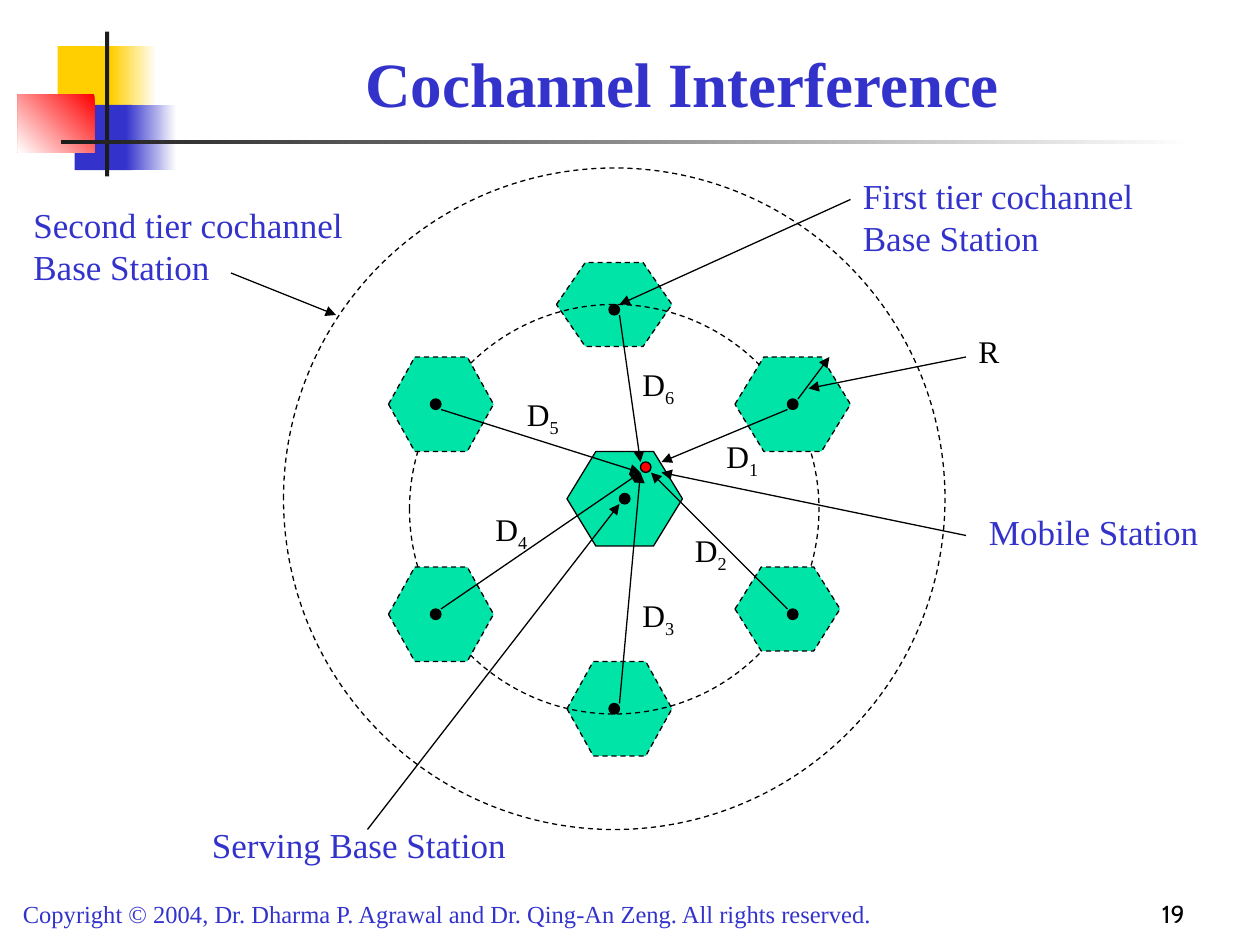
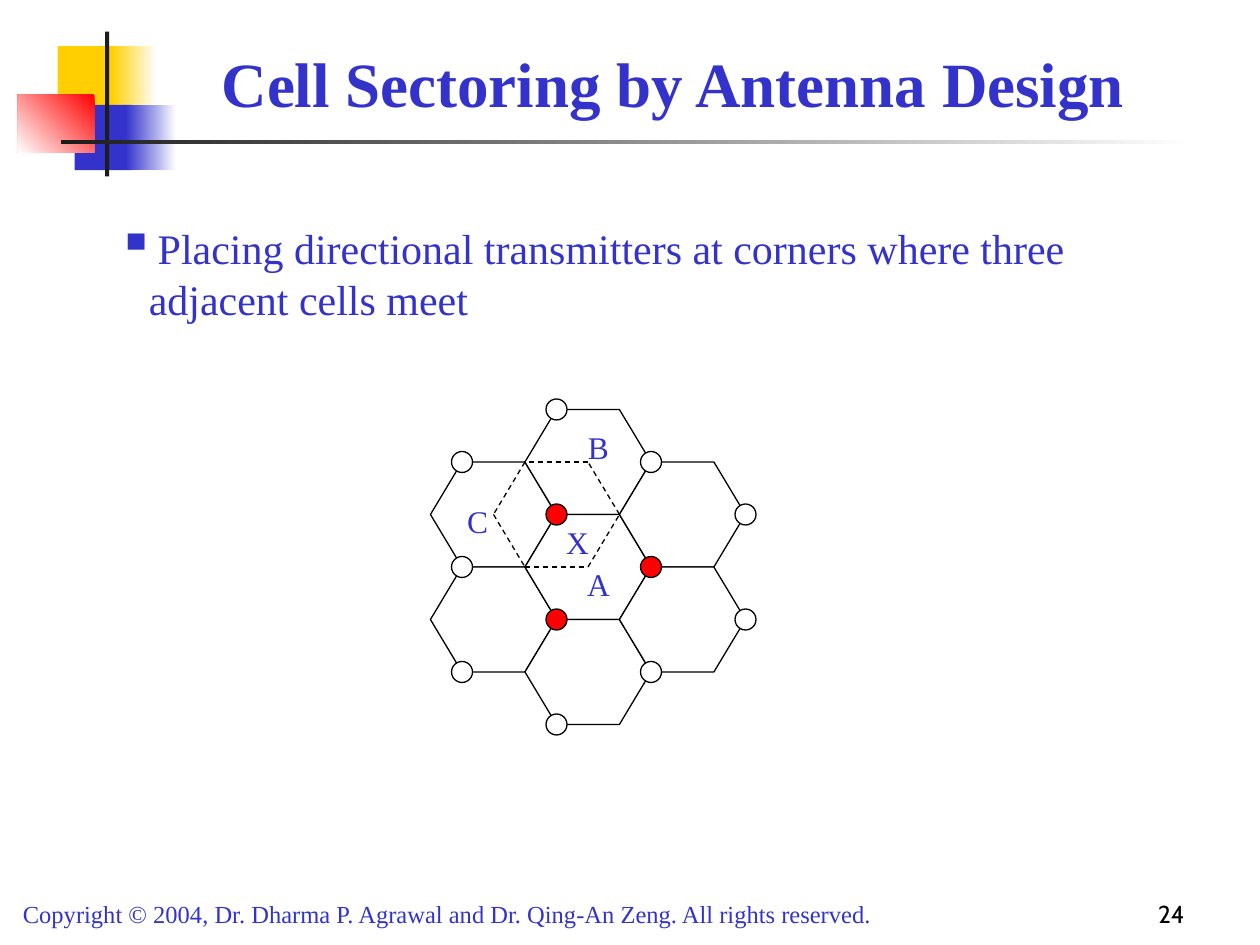
from dataclasses import dataclass
from itertools import pairwise
from lxml.etree import SubElement
from pptx import Presentation
from pptx.dml.color import RGBColor
from pptx.enum.dml import MSO_LINE
from pptx.enum.shapes import MSO_CONNECTOR, MSO_SHAPE
from pptx.enum.text import MSO_ANCHOR, MSO_AUTO_SIZE, PP_ALIGN
from pptx.oxml.ns import qn
from pptx.slide import Slide
from pptx.util import Inches, Pt

BLUE = RGBColor(0x33, 0x33, 0xCC)
YELLOW = RGBColor(0xFF, 0xCF, 0x01)
RED = RGBColor(0xFF, 0x00, 0x00)
GREEN = RGBColor(0x00, 0xE4, 0xA8)
CHARCOAL = RGBColor(0x1C, 0x1C, 0x1C)
BLACK = RGBColor(0x00, 0x00, 0x00)
WHITE = RGBColor(0xFF, 0xFF, 0xFF)
SERIF = "Times New Roman"
NUMBER_FONT = "Cabin"
COLUMNS, ROWS = 120, 90
CELL = Inches(10) / COLUMNS
COPYRIGHT = "Copyright © 2004, Dr. Dharma P. Agrawal and Dr. Qing-An Zeng. All rights reserved."


@dataclass
class Box:
    slide: Slide
    left: float = 0
    top: float = 0

    def point(self, column, row):
        return round((self.left + column) * CELL), round((self.top + row) * CELL)

    def frame(self, column, row, width, height):
        return *self.point(column, row), round(width * CELL), round(height * CELL)


def outline(line, dashed):
    line.color.rgb = BLACK
    line.width = Pt(0.75)
    if dashed:
        line.dash_style = MSO_LINE.DASH


def add_figure(box, kind, place, fill=None, outlined=True, dashed=False):
    figure = box.slide.shapes.add_shape(kind, *box.frame(*place))
    figure.shadow.inherit = False
    if fill is None:
        figure.fill.background()
    else:
        figure.fill.solid()
        figure.fill.fore_color.rgb = fill
    if outlined:
        outline(figure.line, dashed)
    else:
        figure.line.fill.background()
    return figure


def add_fade(box, place, start, angle=0):
    fade = add_figure(box, MSO_SHAPE.RECTANGLE, place, outlined=False)
    fade.fill.gradient()
    fade.fill.gradient_angle = angle
    for stop, color in zip(fade.fill.gradient_stops, (start, WHITE)):
        stop.color.rgb = color


def add_hexagon(box, place, fill, dashed=False):
    hexagon = add_figure(box, MSO_SHAPE.HEXAGON, place, fill, dashed=dashed)
    width, height = place[2:]
    hexagon.adjustments[0] = width / 4 / height


def add_dot(box, column, row, size, fill):
    add_figure(box, MSO_SHAPE.OVAL, (column, row, size, size), fill)


def add_line(box, start, end, arrow=False, dashed=False):
    line = box.slide.shapes.add_connector(
        MSO_CONNECTOR.STRAIGHT, *box.point(*start), *box.point(*end))
    outline(line.line, dashed)
    if arrow:
        SubElement(line.line._get_or_add_ln(), qn("a:tailEnd"), type="triangle")
    SubElement(line._element.spPr, qn("a:effectLst"))


def add_run(paragraph, text, size, color=BLUE, font=SERIF, bold=False):
    run = paragraph.add_run()
    run.text = text
    run.font.size = Pt(size)
    run.font.name = font
    run.font.bold = bold
    run.font.color.rgb = color
    return run


def add_text(box, place, text="", size=20, color=BLUE, font=SERIF,
             align=PP_ALIGN.LEFT, anchor=MSO_ANCHOR.TOP):
    frame = box.slide.shapes.add_textbox(*box.frame(*place)).text_frame
    frame.word_wrap = True
    frame.vertical_anchor = anchor
    paragraph = frame.paragraphs[0]
    paragraph.alignment = align
    if text:
        add_run(paragraph, text, size, color, font)
    return frame


def corner_motif(box):
    def block(place, color):
        add_figure(box, MSO_SHAPE.RECTANGLE, place, color, outlined=False)

    block((5.5, 4.4, 5.8, 6.2), YELLOW)
    add_fade(box, (10.6, 4.4, 4.3, 6.2), YELLOW)
    block((7.1, 10, 5.5, 6.2), BLUE)
    add_fade(box, (12, 10, 4.8, 6.2), BLUE)
    add_fade(box, (1.7, 9, 7.3, 5.5), RED, angle=225)
    block((10, 3, 0.4, 13.8), CHARCOAL)
    add_fade(box, (5.8, 13.3, 108, 0.4), CHARCOAL)


def footer(box, number):
    add_text(box, (0, 2, 91, 4.1), COPYRIGHT, 14)
    add_text(box, (88, 0, 25, 6), number, 14, BLACK, NUMBER_FONT,
             PP_ALIGN.RIGHT, MSO_ANCHOR.BOTTOM)


def titled_slide(deck, text, title_place, number):
    slide = deck.slides.add_slide(deck.slide_layouts[5])
    page = Box(slide)
    corner_motif(page)
    footer(Box(slide, 1, 83), number)
    title = slide.shapes.title
    title.left, title.top, title.width, title.height = page.frame(*title_place)
    frame = title.text_frame
    frame.word_wrap = True
    frame.auto_size = MSO_AUTO_SIZE.NONE
    frame.vertical_anchor = MSO_ANCHOR.BOTTOM
    heading = frame.paragraphs[0]
    heading.alignment = PP_ALIGN.CENTER
    add_run(heading, text, 36, bold=True)
    return slide


def tier_diagram(box):
    add_hexagon(box, (27, 27, 11, 9), GREEN)
    for place in ((26, 9, 11, 8), (27, 47, 10, 9)):
        add_hexagon(box, place, GREEN, dashed=True)
    add_figure(box, MSO_SHAPE.OVAL, (12, 13, 39, 39), dashed=True)
    for place in ((43, 18, 11, 9), (43, 38, 10, 8), (10, 18, 10, 9), (10, 38, 10, 9)):
        add_hexagon(box, place, GREEN, dashed=True)
    add_figure(box, MSO_SHAPE.OVAL, (0, 0, 63, 63), dashed=True)

    add_dot(box, 32, 31, 1, BLACK)
    add_dot(box, 34, 28, 1, RED)
    distances = (
        ("1", (48, 22), (48, 23), (36, 28), (41, 25)),
        ("2", (48, 42), (48, 42), (35, 29), (38, 34)),
        ("3", (31, 51), (32, 51), (34, 29), (33, 40.2)),
        ("4", (14, 42), (15, 42), (34, 29), (19, 32)),
        ("5", (14, 22), (15, 23), (34, 29), (22, 21)),
        ("6", (31, 13), (32, 14), (34, 28), (33, 18.2)),
    )
    for index, station, start, end, label in distances:
        add_dot(box, *station, 1, BLACK)
        add_line(box, start, end, arrow=True)
        distance = add_text(box, (*label, 7, 5.3), "D", 18, BLACK).paragraphs[0]
        subscript = add_run(distance, index, 18, BLACK)
        subscript._r.get_or_add_rPr().set("baseline", "-25000")
    add_line(box, (49, 22), (52, 18), arrow=True)


def callouts(box):
    notes = (
        ("Mobile Station", (93, 48, 26, 5.3), (92, 51), (63, 45), 20, BLUE),
        ("Serving Base Station", (19, 77.8, 31, 5.3), (35, 79), (59, 48), 20, BLUE),
        ("First tier cochannel Base Station", (81, 16, 30, 9.2), (81, 19), (59, 29), 20, BLUE),
        ("Second tier cochannel Base Station", (2, 18.8, 34, 9.2), (22, 26), (32, 30), 20, BLUE),
        ("R", (92, 31, 5, 4.8), (92, 34), (77, 37), 18, BLACK),
    )
    for text, place, start, end, size, color in notes:
        add_line(box, start, end, arrow=True)
        add_text(box, place, text, size, color)


def statement(box):
    frame = add_text(box, (0, 0, 97, 16), anchor=MSO_ANCHOR.MIDDLE)
    first, second = frame.paragraphs[0], frame.add_paragraph()
    margin = Inches(0.32)
    properties = first._p.get_or_add_pPr()
    properties.set("marL", str(margin))
    properties.set("indent", str(-margin))
    bullet_color = SubElement(properties, qn("a:buClr"))
    SubElement(bullet_color, qn("a:srgbClr"), val=str(BLUE))
    SubElement(properties, qn("a:buSzPct"), val="120000")
    SubElement(properties, qn("a:buChar"), char="▪")
    second._p.get_or_add_pPr().set("marL", str(Inches(0.25)))
    add_run(first, "Placing directional transmitters at corners where three", 24)
    add_run(second, "adjacent cells meet", 24)


def honeycomb(box):
    step = 9
    for column, rows in enumerate(((5, 15), (0, 10, 20), (5, 15))):
        for row in rows:
            add_hexagon(box, (column * step, row, 12, 10), WHITE)

    sector = ((9, 5), (6, 10), (9, 15), (15, 15), (18, 10), (15, 5), (9, 5))
    for start, end in pairwise(sector):
        add_line(box, start, end, dashed=True)

    center_cell = {(1, 10), (1, 20), (2, 15)}
    corners = ((5, 15, 25), (0, 10, 20, 30), (5, 15, 25), (10, 20))
    for column, rows in enumerate(corners):
        for row in rows:
            color = RED if (column, row) in center_cell else WHITE
            add_dot(box, 2 + column * step, row - 1, 2, color)

    letters = (("A", 13, 14.2, 6), ("B", 13, 1.2, 6), ("C", 1, 8.2, 7), ("X", 11, 10.2, 6))
    for letter, column, row, width in letters:
        add_text(box, (column, row, width, 4.8), letter, 18, align=PP_ALIGN.CENTER)


def main():
    deck = Presentation()
    deck.slide_width = round(COLUMNS * CELL)
    deck.slide_height = round(ROWS * CELL)

    interference = titled_slide(deck, "Cochannel Interference", (14, 2, 102, 10), "19")
    tier_diagram(Box(interference, 27, 16))
    callouts(Box(interference))

    sectoring = titled_slide(
        deck, "Cell Sectoring by Antenna Design", (13, 1, 102.2, 11), "24")
    statement(Box(sectoring, 10, 18))
    honeycomb(Box(sectoring, 41, 39))

    deck.save("out.pptx")


if __name__ == "__main__":
    main()
